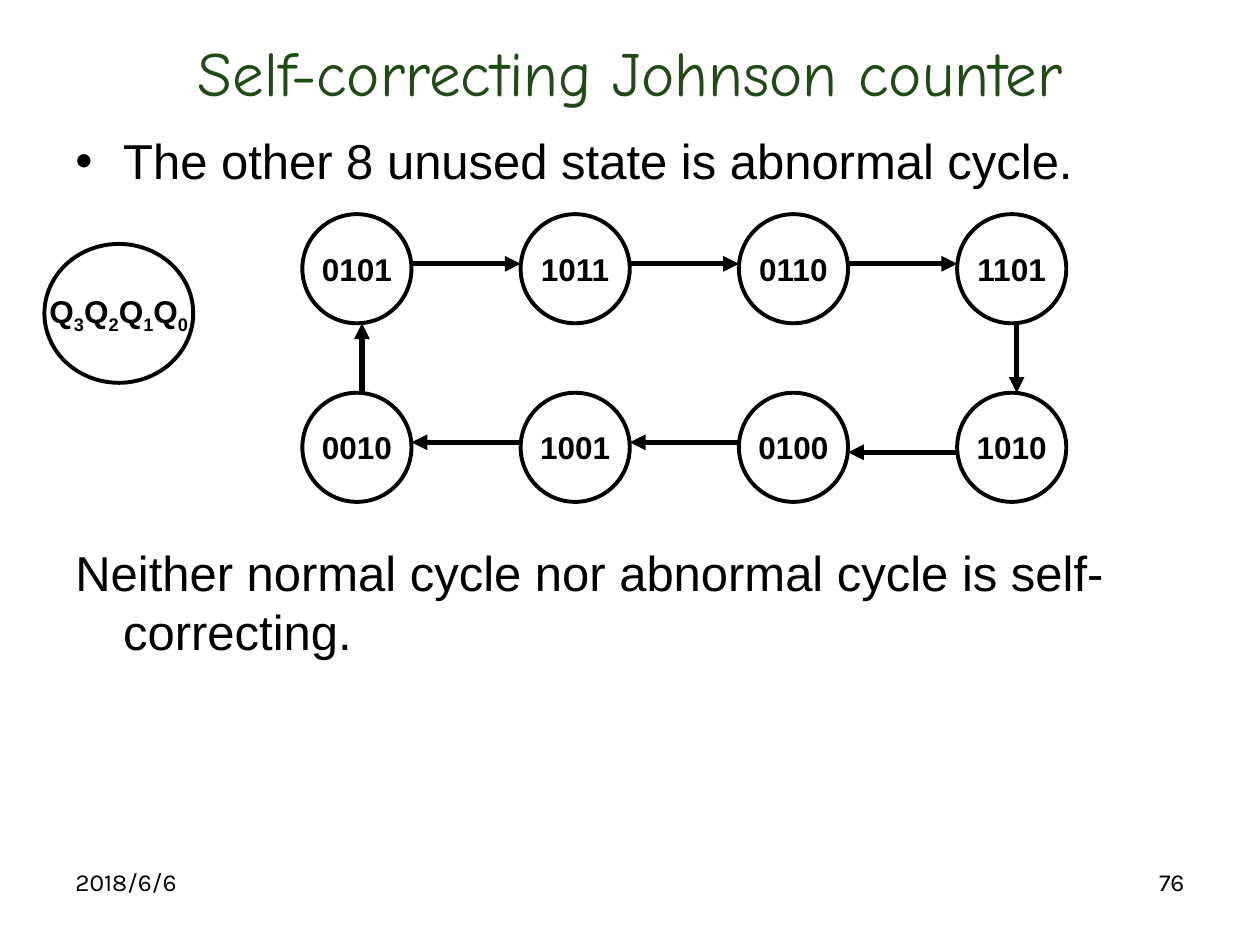
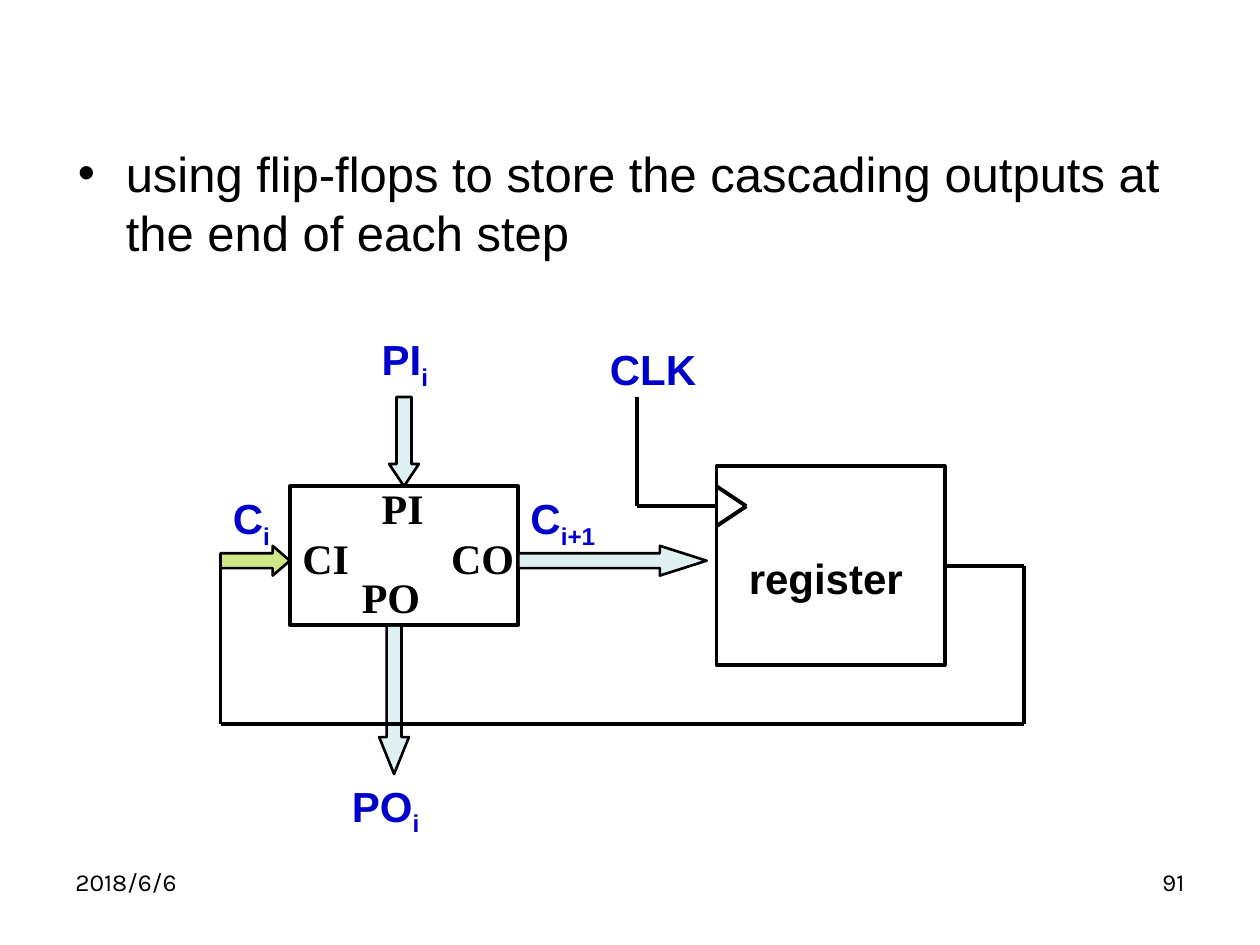
import pptx
import pptx.dml.color
import pptx.enum.shapes
import pptx.enum.text
import pptx.oxml
import pptx.oxml.ns
import pptx.util

RGBColor = pptx.dml.color.RGBColor
BLACK = RGBColor(0x00, 0x00, 0x00)
TITLE_GREEN = RGBColor(0x1F, 0x4B, 0x15)
SIGNAL_BLUE = RGBColor(0x00, 0x00, 0xCC)
ARROW_TEAL = RGBColor(0xBB, 0xE0, 0xE3)
ARROW_LIME = RGBColor(0x99, 0xCC, 0x00)

SANS, SERIF, TITLE_FONT, FOOTER_FONT = "Arial", "Times New Roman", "Comic Neue", "Karla"
DATE = "2018/6/6"

SHAPE = pptx.enum.shapes.MSO_SHAPE
ALIGN = pptx.enum.text.PP_ALIGN
ANCHOR = pptx.enum.text.MSO_ANCHOR
Inches = pptx.util.Inches
MARGIN = 0.5
FULL_WIDTH = 9
HANGING = 0.38
LABEL_HEIGHT = 0.5

# Both diagrams are drawn on 2 mm cells, counted from an origin in inches.
CELL = 2 / 25.4
CYCLE_ORIGIN = (2.4, 1.7)
CIRCUIT_ORIGIN = (1.75, 3.86)

# State circles, in cells
CIRCLE = 11
COLUMN_PITCH = 22
ROW_PITCH = 18
STATES = ["0101", "1011", "0110", "1101", "1010", "0100", "1001", "0010"]


def place(origin, column, row):
    """Turn a cell position into inches."""
    return origin[0] + column * CELL, origin[1] + row * CELL


def add_drawing_element(parent, tag, **attributes):
    element = pptx.oxml.parse_xml(f"<a:{tag} {pptx.oxml.ns.nsdecls('a')}/>")
    for name, value in attributes.items():
        element.set(name, str(value))
    parent.append(element)


def add_runs(paragraph, parts, font_name, size, color, bold=False):
    """Add a run for each part; every second part is a subscript."""
    for index, part in enumerate(parts):
        run = paragraph.add_run()
        run.text = part
        run.font.name = font_name
        run.font.size = pptx.util.Pt(size)
        run.font.color.rgb = color
        run.font.bold = bold
        if index % 2:
            run.font._element.set("baseline", "-25000")


def add_text(slide, box, parts, font_name, size, color,
             bold=False, align=ALIGN.LEFT, anchor=ANCHOR.TOP):
    text_box = slide.shapes.add_textbox(*map(Inches, box))
    frame = text_box.text_frame
    frame.word_wrap = True
    frame.vertical_anchor = anchor
    paragraph = frame.paragraphs[0]
    paragraph.alignment = align
    add_runs(paragraph, parts, font_name, size, color, bold)
    return paragraph


def add_body(slide, left, top, text, bullet=True):
    paragraph = add_text(slide, (left, top, FULL_WIDTH, 1.1), [text], SANS, 28, BLACK)
    properties = paragraph._p.get_or_add_pPr()
    properties.set("marL", str(Inches(HANGING)))
    properties.set("indent", str(-Inches(HANGING)))
    if bullet:
        add_drawing_element(properties, "buFont", typeface=SANS)
        add_drawing_element(properties, "buChar", char="•")


def add_footer(slide, number):
    for left, text, align in ((MARGIN, DATE, ALIGN.LEFT), (7.17, number, ALIGN.RIGHT)):
        add_text(slide, (left, 6.83, 2.33, 0.52), [text], FOOTER_FONT, 14, BLACK, align=align)


def add_outline(slide, kind, origin, column, row, width, height, line_width=2.25):
    """Add an unfilled shape with a black line, measured in cells."""
    left, top = place(origin, column, row)
    shape = slide.shapes.add_shape(
        kind, *map(Inches, (left, top, width * CELL, height * CELL)))
    shape.shadow.inherit = False
    shape.fill.background()
    shape.line.color.rgb = BLACK
    shape.line.width = pptx.util.Pt(line_width)
    return shape


def add_circle(slide, column, row, width, height, parts):
    circle = add_outline(slide, SHAPE.OVAL, CYCLE_ORIGIN, column, row, width, height)
    frame = circle.text_frame
    frame.word_wrap = False
    frame.vertical_anchor = ANCHOR.MIDDLE
    frame.paragraphs[0].alignment = ALIGN.CENTER
    add_runs(frame.paragraphs[0], parts, SANS, 18, BLACK, bold=True)


def add_block_arrow(slide, kind, cells, head, color, opacity):
    arrow = add_outline(slide, kind, CIRCUIT_ORIGIN, *cells, line_width=1.5)
    arrow.adjustments[0] = 0.5
    arrow.adjustments[1] = head
    arrow.fill.solid()
    arrow.fill.fore_color.rgb = color
    fill_color = arrow._element.spPr.find(".//" + pptx.oxml.ns.qn("a:srgbClr"))
    add_drawing_element(fill_color, "alpha", val=opacity * 1000)


def add_line(slide, origin, start, end, width=2.25, arrowhead=False):
    points = place(origin, *start) + place(origin, *end)
    line = slide.shapes.add_connector(
        pptx.enum.shapes.MSO_CONNECTOR.STRAIGHT, *map(Inches, points))
    line.line.color.rgb = BLACK
    line.line.width = pptx.util.Pt(width)
    if arrowhead:
        add_drawing_element(line.line._get_or_add_ln(), "tailEnd", type="triangle")
    add_drawing_element(line._element.spPr, "effectLst")
    return line


def add_wire(slide, *corners):
    """Join corner cells by straight lines and return the lines."""
    return [add_line(slide, CIRCUIT_ORIGIN, start, end)
            for start, end in zip(corners, corners[1:])]


def add_label(slide, column, row, width, parts, font_name=SANS, color=BLACK):
    left, top = place(CIRCUIT_ORIGIN, column, row)
    add_text(slide, (left, top, width * CELL, LABEL_HEIGHT),
             parts, font_name, 24, color, bold=True)


def add_state_cycle(slide):
    """Draw the states clockwise over two rows, with an arrow to each next state."""
    per_row = len(STATES) // 2
    corners = [(i * COLUMN_PITCH, 0) for i in range(per_row)]
    corners += [(column, ROW_PITCH) for column, _ in reversed(corners)]
    for state, (column, row) in zip(STATES, corners):
        add_circle(slide, column, row, CIRCLE, CIRCLE, [state])

    for index, (column, row) in enumerate(corners):
        next_column, next_row = corners[(index + 1) % len(corners)]
        if column == next_column:
            upper = min(row, next_row) + CIRCLE
            ends = [(column + 6, upper), (column + 6, ROW_PITCH)]
            if next_row < row:
                ends.reverse()
        else:
            height = row + (6 if index == per_row else 5)
            if next_column > column:
                ends = [(column + CIRCLE, height), (next_column, height)]
            else:
                ends = [(column, height), (next_column + CIRCLE, height)]
        add_line(slide, CYCLE_ORIGIN, *ends, width=3, arrowhead=True)


def add_cascade_module(slide):
    add_outline(slide, SHAPE.RECTANGLE, CIRCUIT_ORIGIN, 7, 0, 23, 14)
    add_block_arrow(slide, SHAPE.RIGHT_ARROW, (0, 6, 7, 3), 0.58, ARROW_LIME, 47)
    add_block_arrow(slide, SHAPE.RIGHT_ARROW, (30, 6, 19, 3), 1.57, ARROW_TEAL, 47)
    add_block_arrow(slide, SHAPE.DOWN_ARROW, (17, -9, 3, 9), 0.75, ARROW_TEAL, 48)
    add_block_arrow(slide, SHAPE.DOWN_ARROW, (16, 14, 3, 15), 1.24, ARROW_TEAL, 48)

    for column, row, width, port in (
            (7, 4, 8, "CI"), (22, 4, 9, "CO"), (15, -1, 8, "PI"), (13, 8, 9, "PO")):
        add_label(slide, column, row, width, [port], SERIF)

    for column, row, width, signal in (
            (0, 0, 8, ["C", "i"]), (30, 0, 13, ["C", "i+1"]),
            (15, -16, 9, ["PI", "i"]), (12, 29, 11, ["PO", "i"]),
            (38, -15, 12, ["CLK"])):
        add_label(slide, column, row, width, signal, color=SIGNAL_BLUE)


def add_register(slide):
    register = add_outline(slide, SHAPE.RECTANGLE, CIRCUIT_ORIGIN, 50, -2, 23, 20)
    add_label(slide, 52, 6, 19, ["register"])
    add_wire(slide, (50, 0), (53, 2), (50, 4))
    add_wire(slide, (50, 2), (42, 2), (42, -9))
    feedback = add_wire(slide, (73, 8), (81, 8), (81, 24), (0, 24), (0, 7))
    feedback[0].begin_connect(register, 3)


def build_johnson_slide(slide):
    add_footer(slide, "76")
    add_text(slide, (MARGIN, 0.21, FULL_WIDTH, 0.71), ["Self-correcting Johnson counter"],
             TITLE_FONT, 36, TITLE_GREEN, align=ALIGN.CENTER, anchor=ANCHOR.MIDDLE)
    add_body(slide, MARGIN, 0.99, "The other 8 unused state is abnormal cycle.")
    add_body(slide, MARGIN, 4.26,
             "Neither normal cycle nor abnormal cycle is self-correcting.", bullet=False)
    add_state_cycle(slide)
    add_circle(slide, -26, 3, 15, 14, ["Q", "3", "Q", "2", "Q", "1", "Q", "0"])


def build_register_slide(slide):
    add_footer(slide, "91")
    add_body(slide, 0.52, 1.09,
             "using flip-flops to store the cascading outputs at the end of each step")
    add_cascade_module(slide)
    add_register(slide)


def main():
    presentation = pptx.Presentation()
    presentation.slide_width = Inches(10)
    presentation.slide_height = Inches(7.5)
    blank = presentation.slide_layouts[6]
    for build in (build_johnson_slide, build_register_slide):
        build(presentation.slides.add_slide(blank))
    presentation.save("out.pptx")


if __name__ == "__main__":
    main()
